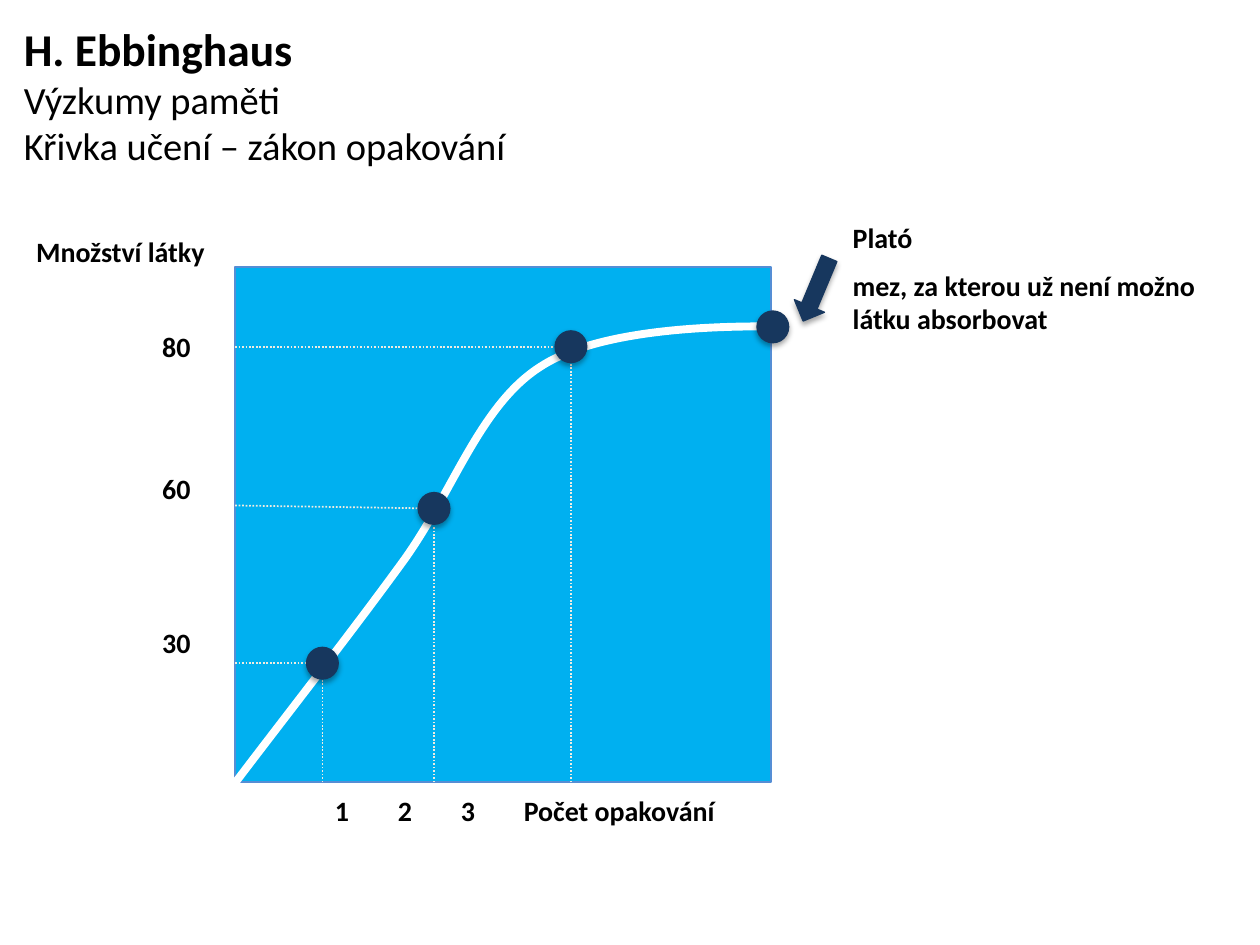
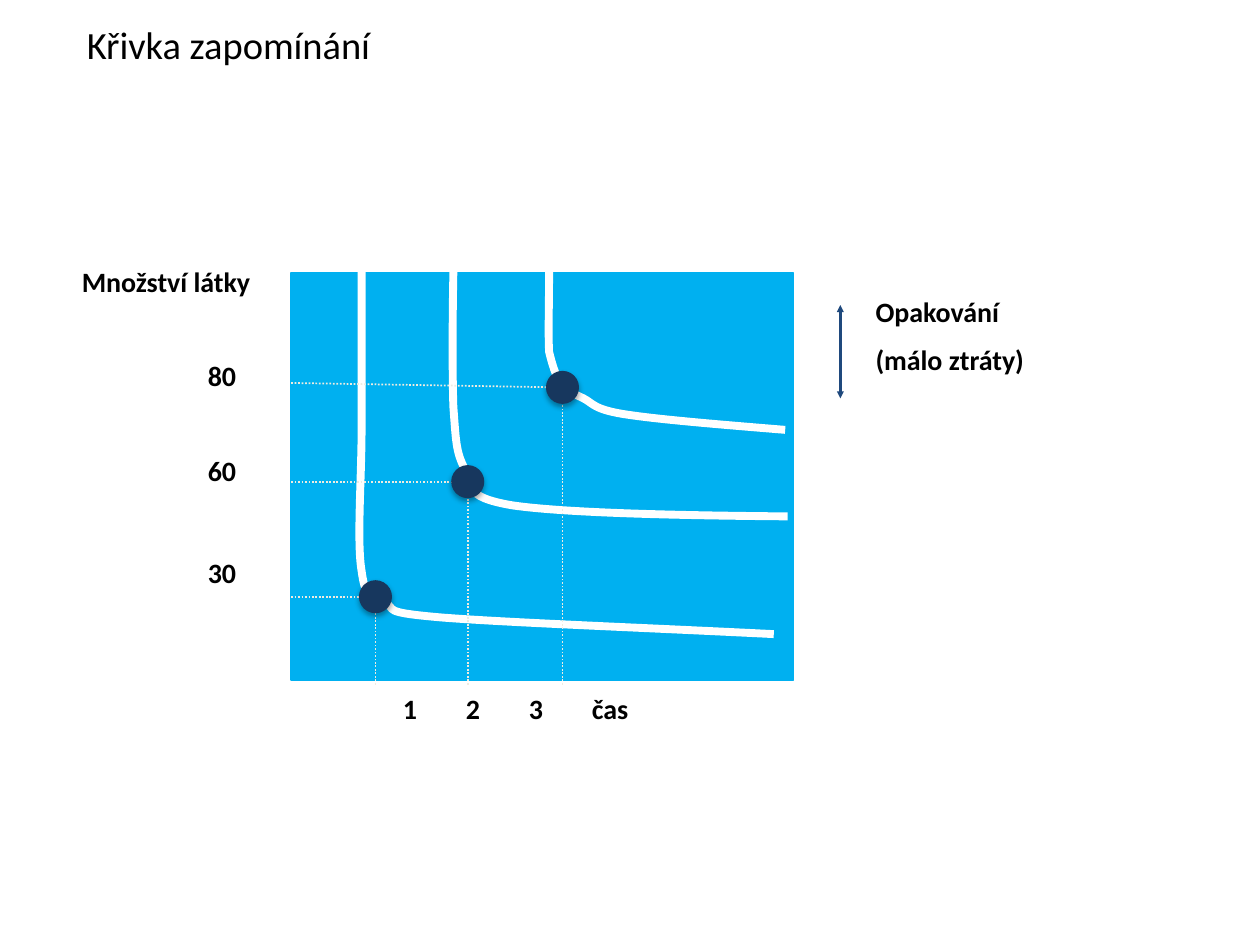
from dataclasses import dataclass

from lxml import etree
from pptx import Presentation
from pptx.dml.color import RGBColor
from pptx.enum.dml import MSO_LINE
from pptx.enum.shapes import MSO_CONNECTOR, MSO_SHAPE
from pptx.enum.text import MSO_AUTO_SIZE
from pptx.oxml.ns import qn
from pptx.util import Cm, Pt

BLACK = RGBColor(0x00, 0x00, 0x00)
WHITE = RGBColor(0xFF, 0xFF, 0xFF)
SKY = RGBColor(0x00, 0xB0, 0xF0)
EDGE = RGBColor(0x55, 0x8E, 0xD5)
NAVY = RGBColor(0x17, 0x37, 0x5E)
BLUE = RGBColor(0x1F, 0x49, 0x7D)
SAND = RGBColor(0xEE, 0xEC, 0xE1)
FONT = "Calibri"

RECT = MSO_SHAPE.RECTANGLE
DISC = MSO_SHAPE.FLOWCHART_CONNECTOR
ARROW = MSO_SHAPE.LEFT_ARROW
LINE = MSO_CONNECTOR.STRAIGHT
DOTS = MSO_LINE.ROUND_DOT

DOT = 0.64    # dot diameter, cm
STEP = 2.54   # indent of the numbers on the side axis, cm

Point = tuple[float, float]
Box = tuple[float, float, float, float]


@dataclass
class Row:
    text: str
    before: float = 0     # space above, points
    indent: float = 0     # cm


@dataclass
class Label:
    box: Box
    rows: list[Row]
    tabs: tuple[float, ...] = ()


@dataclass
class Mark:
    x: float
    y: float
    side: float           # height where the guide leaves the axis


@dataclass
class Graph:
    box: Box
    edge: RGBColor
    foot: float           # lower end of the upright guides
    curves: list[list[Point]]
    marks: list[Mark]
    labels: list[Label]


def write(para, text: str, size: float, bold: bool) -> None:
    run = para.add_run()
    run.text = text
    font = run.font
    font.name, font.size, font.bold = FONT, Pt(size), bold
    font.color.rgb = BLACK


def set_indent(para, indent: float):
    props = para._p.get_or_add_pPr()
    props.set("marL", str(Cm(indent)))
    props.set("indent", "0")
    return props


def add_head(slide, rows: list[tuple[str, float, bool]], indent: float = 0) -> None:
    """Fill the body placeholder and drop the unused title."""
    title = slide.shapes.title._element
    title.getparent().remove(title)
    body = slide.placeholders[1]
    body.left, body.top, body.width, body.height = Cm(0.48), Cm(0.43), Cm(24.51), Cm(18.16)
    frame = body.text_frame
    frame.auto_size = MSO_AUTO_SIZE.NONE
    frame.margin_left = frame.margin_top = frame.margin_right = frame.margin_bottom = 0
    for i, (text, size, bold) in enumerate(rows):
        para = frame.add_paragraph() if i else frame.paragraphs[0]
        para.level = 1 if indent else 0
        para.space_before = Pt(0)
        etree.SubElement(set_indent(para, indent), qn("a:buNone"))
        write(para, text, size, bold)


def add_label(slide, label: Label) -> None:
    frame = slide.shapes.add_textbox(*(Cm(v) for v in label.box)).text_frame
    frame.word_wrap = True
    for i, row in enumerate(label.rows):
        para = frame.add_paragraph() if i else frame.paragraphs[0]
        para.space_before = Pt(row.before)
        props = set_indent(para, row.indent)
        if label.tabs:
            stops = etree.SubElement(props, qn("a:tabLst"))
            for tab in label.tabs:
                etree.SubElement(stops, qn("a:tab"), pos=str(Cm(tab)), algn="l")
        write(para, row.text, 16, True)


def add_form(slide, kind: MSO_SHAPE, box: Box, fill: RGBColor, edge: RGBColor, width: float):
    form = slide.shapes.add_shape(kind, *(Cm(v) for v in box))
    form.fill.solid()
    form.fill.fore_color.rgb = fill
    form.line.color.rgb = edge
    form.line.width = Pt(width)
    form.shadow.inherit = False
    return form


def add_raised(slide, kind: MSO_SHAPE, box: Box):
    """Navy shape with a soft shadow below it."""
    form = add_form(slide, kind, box, NAVY, NAVY, 0.75)
    effects = form._element.spPr.find(qn("a:effectLst"))
    shade = etree.SubElement(effects, qn("a:outerShdw"), blurRad=str(Pt(3.1)),
                             dist=str(Pt(1.8)), dir="5400000", rotWithShape="0")
    color = etree.SubElement(shade, qn("a:srgbClr"), val="000000")
    etree.SubElement(color, qn("a:alpha"), val="35000")
    return form


def add_dot(slide, x: float, y: float) -> None:
    add_raised(slide, DISC, (x - DOT / 2, y - DOT / 2, DOT, DOT))


def add_line(slide, start: Point, end: Point, color: RGBColor, width: float):
    link = slide.shapes.add_connector(LINE, *(Cm(v) for v in start + end))
    link.line.color.rgb = color
    link.line.width = Pt(width)
    etree.SubElement(link._element.spPr, qn("a:effectLst"))
    return link


def add_curve(slide, nodes: list[Point]) -> None:
    """Draw a chain of cubic Bezier arcs: start, then three nodes per arc."""
    first, *rest = [(Cm(x), Cm(y)) for x, y in nodes]
    pen = slide.shapes.build_freeform(*first)
    pen.add_line_segments(rest, close=False)
    curve = pen.convert_to_shape()
    curve.fill.background()
    curve.line.color.rgb = WHITE
    curve.line.width = Pt(4.5)
    curve.shadow.inherit = False
    props = curve._element.spPr
    props.find(qn("a:ln")).set("cap", "sq")
    # Turn each three straight segments into one arc
    parts = list(props.iter(qn("a:lnTo")))
    for i in range(0, len(parts), 3):
        arc = etree.SubElement(parts[i].getparent(), qn("a:cubicBezTo"))
        for part in parts[i:i + 3]:
            arc.append(part[0])
            part.getparent().remove(part)


def add_graph(slide, graph: Graph) -> None:
    add_form(slide, RECT, graph.box, SKY, graph.edge, 1)
    for nodes in graph.curves:
        add_curve(slide, nodes)
    for label in graph.labels:
        add_label(slide, label)
    for mark in graph.marks:
        level = (mark.x, mark.y)
        for start in ((graph.box[0], mark.side), (mark.x, graph.foot)):
            add_line(slide, start, level, SAND, 1).line.dash_style = DOTS
    for mark in graph.marks:
        add_dot(slide, mark.x, mark.y)


def side_label(box: Box, gaps: tuple[float, ...]) -> Label:
    """Amounts down the side axis, each with its gap above."""
    rows = [Row(text, gap, STEP) for text, gap in zip(("80", "60", "30"), gaps)]
    return Label(box, [Row("Množství látky"), *rows])


def base_label(box: Box, name: str, tabs: tuple[float, ...]) -> Label:
    return Label(box, [Row(f"\t1\t2\t3\t{name}")], tabs)


LEARN = Graph(
    box=(4.74, 5.39, 10.8, 10.37), edge=EDGE, foot=15.77,
    curves=[[(4.75, 15.77), (5.89, 14.27), (7.06, 12.78), (8.08, 11.38),
             (9.12, 9.98), (9.65, 8.18), (10.9, 7.39),
             (12.14, 6.58), (14.71, 6.58), (15.52, 6.58)]],
    marks=[Mark(6.5, 13.37, 13.37), Mark(8.75, 10.25, 10.19), Mark(11.51, 6.99, 6.99)],
    labels=[side_label((0.48, 4.6, 4.52, 9.4), (35.3, 61.6, 69)),
            base_label((5.23, 15.88, 19.33, 0.94), "Počet opakování",
                       (0.92, 3.23, 6.05, 7.34)),
            Label((16.94, 4.32, 8.03, 2.64),
                  [Row("Plató"), Row("mez, za kterou už není možno látku absorbovat", 8)])])

FORGET = Graph(
    box=(5.87, 5.51, 10.13, 8.2), edge=SKY, foot=13.8,
    curves=[
        [(7.29, 5.51), (7.29, 6.58), (7.29, 7.67), (7.29, 8.66),
         (7.29, 9.65), (7.19, 10.92), (7.29, 11.51),
         (7.37, 12.09), (7.47, 11.99), (7.75, 12.14),
         (8.03, 12.29), (7.62, 12.34), (8.92, 12.45),
         (10.21, 12.55), (12.88, 12.65), (15.52, 12.78)],
        [(9.14, 5.51), (9.12, 6.53), (9.12, 7.57), (9.14, 8.2),
         (9.19, 8.86), (9.19, 9.12), (9.37, 9.45),
         (9.58, 9.78), (9.27, 10.01), (10.34, 10.19),
         (11.4, 10.34), (13.59, 10.39), (15.8, 10.41)],
        [(11.07, 5.51), (11.07, 6.12), (11.05, 6.71), (11.07, 7.09),
         (11.13, 7.34), (11.2, 7.57), (11.3, 7.72),
         (11.4, 7.87), (11.53, 7.92), (11.76, 8.03),
         (11.96, 8.13), (11.96, 8.26), (12.65, 8.36),
         (13.31, 8.46), (14.53, 8.56), (15.75, 8.66)]],
    marks=[Mark(7.57, 12.03, 12.03), Mark(9.43, 9.71, 9.71), Mark(11.34, 7.81, 7.72)],
    labels=[side_label((1.4, 5.2, 4.24, 7.21), (35, 35, 38.7)),
            base_label((6.6, 13.82, 13.41, 0.94), "čas", (0.52, 2.45, 4.4, 8.23)),
            Label((17.4, 5.82, 6.35, 1.96), [Row("Opakování"), Row("(málo ztráty)", 8)])])


def main() -> None:
    deck = Presentation()
    deck.slide_width, deck.slide_height = Cm(25.4), Cm(19.05)
    layout = deck.slide_layouts[1]

    # Learning curve
    slide = deck.slides.add_slide(layout)
    add_head(slide, [("H. Ebbinghaus", 26, True),
                     ("Výzkumy paměti", 22, False),
                     ("Křivka učení – zákon opakování", 22, False)])
    add_graph(slide, LEARN)
    add_dot(slide, 15.58, 6.59)
    add_raised(slide, ARROW, (15.77, 5.51, 1.37, 0.66)).rotation = 292.7

    # Forgetting curve
    slide = deck.slides.add_slide(layout)
    add_head(slide, [("Křivka zapomínání", 22, False)], indent=1.27)
    add_graph(slide, FORGET)
    span = add_line(slide, (16.94, 6.15), (16.94, 8.03), BLUE, 1.5)
    stroke = span._element.spPr.find(qn("a:ln"))
    for end in ("a:headEnd", "a:tailEnd"):
        etree.SubElement(stroke, qn(end), type="triangle", w="sm", len="sm")

    deck.save("out.pptx")


if __name__ == "__main__":
    main()
